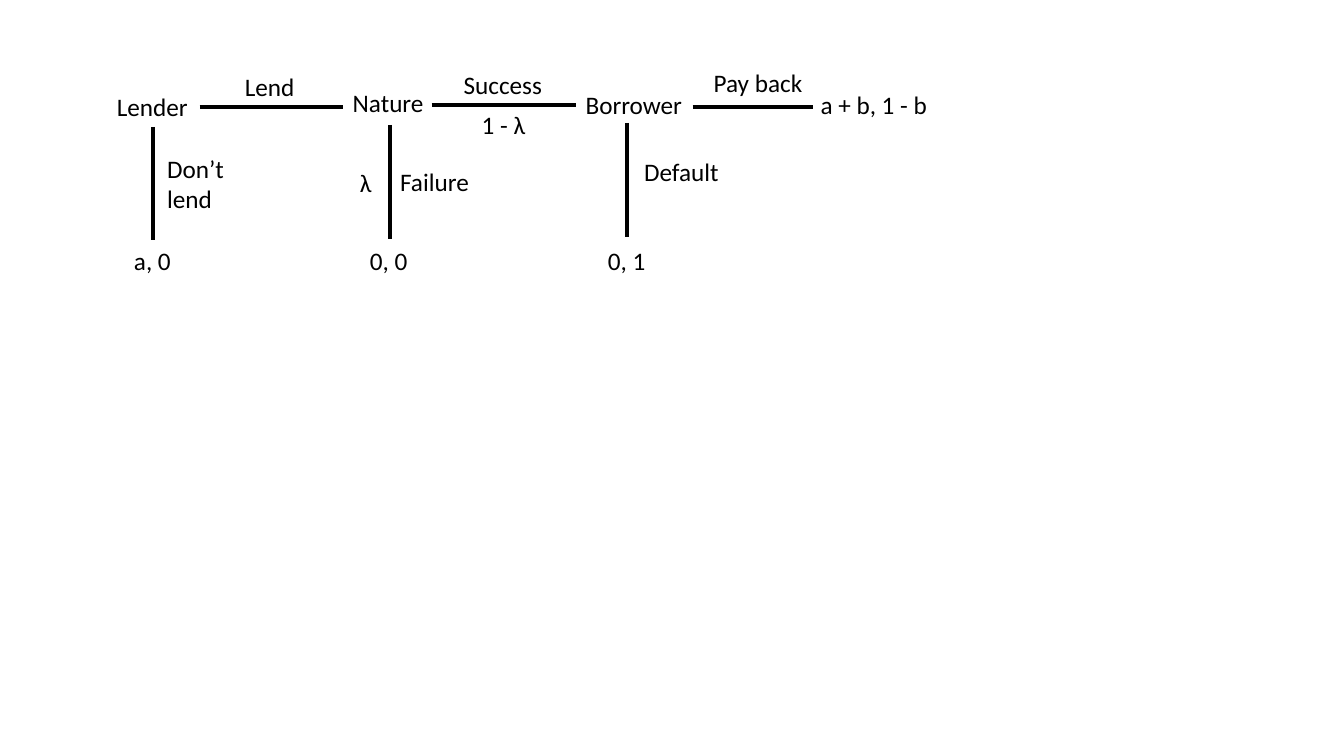
from pptx import Presentation
from pptx.dml.color import RGBColor
from pptx.enum import shapes, text
from pptx.oxml.ns import qn
from pptx.util import Inches, Pt
from lxml import etree

BLACK = RGBColor(0, 0, 0)
FONT = "Calibri"
ROW = 0.4   # height of a one-line label
DROP = 1.13  # length of a downward branch

# Labels: text, left, top, width
PLAYERS = [
    ("Lender", 1.06, 0.86, 0.92),
    ("Nature", 3.4, 0.82, 0.91),
    ("Borrower", 5.71, 0.84, 1.17),
]
MOVES = [
    ("Lend", 2.33, 0.66, 0.7),
    ("Don’t\nlend", 1.56, 1.47, 0.83),
    ("Success", 4.5, 0.64, 0.99),
    ("Failure", 3.87, 1.6, 0.89),
    ("Pay back", 6.98, 0.62, 1.09),
    ("Default", 6.29, 1.5, 0.95),
]
ODDS = [
    ("1 - λ", 4.68, 1.04, 0.64),
    ("λ", 3.47, 1.61, 0.32),
]
PAYOFFS = [
    ("a, 0", 1.23, 2.38, 0.58),
    ("0, 0", 3.57, 2.38, 0.58),
    ("0, 1", 5.93, 2.38, 0.58),
    ("a + b, 1 - b", 8.04, 0.84, 1.27),
]

# Branches: start x, start y, joined start, joined end as (label, side)
ACROSS = [
    (1.98, 1.06, 3.4, ("Lender", 3), None),
    (4.28, 1.04, 5.71, None, ("Borrower", 1)),
    (6.87, 1.06, 8.06, None, None),
]
DOWN = [
    (1.52, 1.26, ("Lender", 2), ("a, 0", 0)),
    (3.87, 1.24, None, None),
    (6.22, 1.22, None, None),
]

deck = Presentation()
deck.slide_width, deck.slide_height = Inches(13.33), Inches(7.5)
slide = deck.slides.add_slide(deck.slide_layouts[6])
boxes = {}


def add_label(words, left, top, width):
    lines = words.count("\n") + 1
    high = ROW if lines == 1 else 0.71
    box = slide.shapes.add_textbox(*map(Inches, (left, top, width, high)))
    frame = box.text_frame
    frame.text = words
    frame.word_wrap = False
    frame.auto_size = text.MSO_AUTO_SIZE.SHAPE_TO_FIT_TEXT
    for para in frame.paragraphs:
        for run in para.runs:
            run.font.name, run.font.size = FONT, Pt(18)
            run.font.color.rgb = BLACK
    boxes[words] = box


def add_branch(x1, y1, x2, y2, start, end):
    line = slide.shapes.add_connector(
        shapes.MSO_CONNECTOR.STRAIGHT, *map(Inches, (x1, y1, x2, y2)))
    line.line.color.rgb = BLACK
    line.line.width = Pt(3)
    etree.SubElement(line._element.spPr, qn("a:effectLst"))
    if start:
        line.begin_connect(boxes[start[0]], start[1])
    if end:
        line.end_connect(boxes[end[0]], end[1])


# Labels of the game tree
for label in PLAYERS + MOVES + ODDS + PAYOFFS:
    add_label(*label)

# Branches to the next player and to the payoffs below
for x, y, far, start, end in ACROSS:
    add_branch(x, y, far, y, start, end)
for x, y, start, end in DOWN:
    add_branch(x, y, x, y + DROP, start, end)

deck.save("out.pptx")
